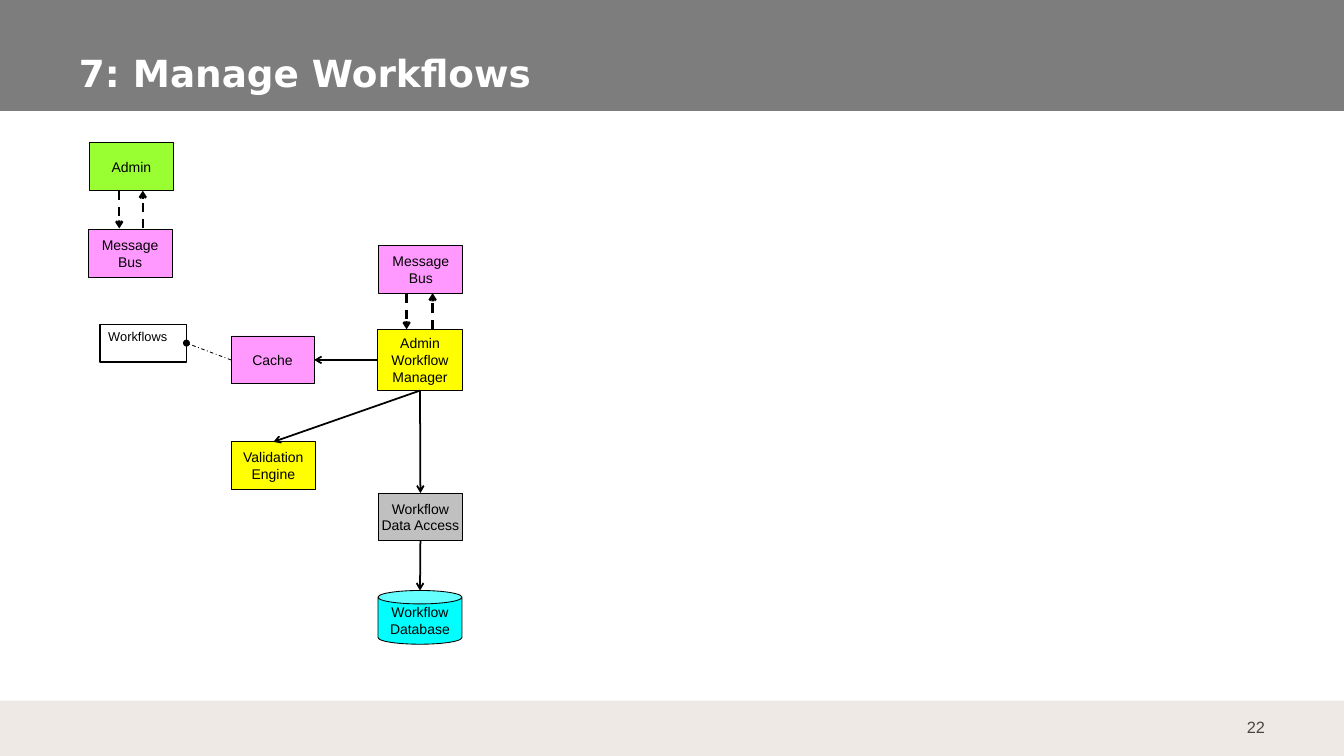
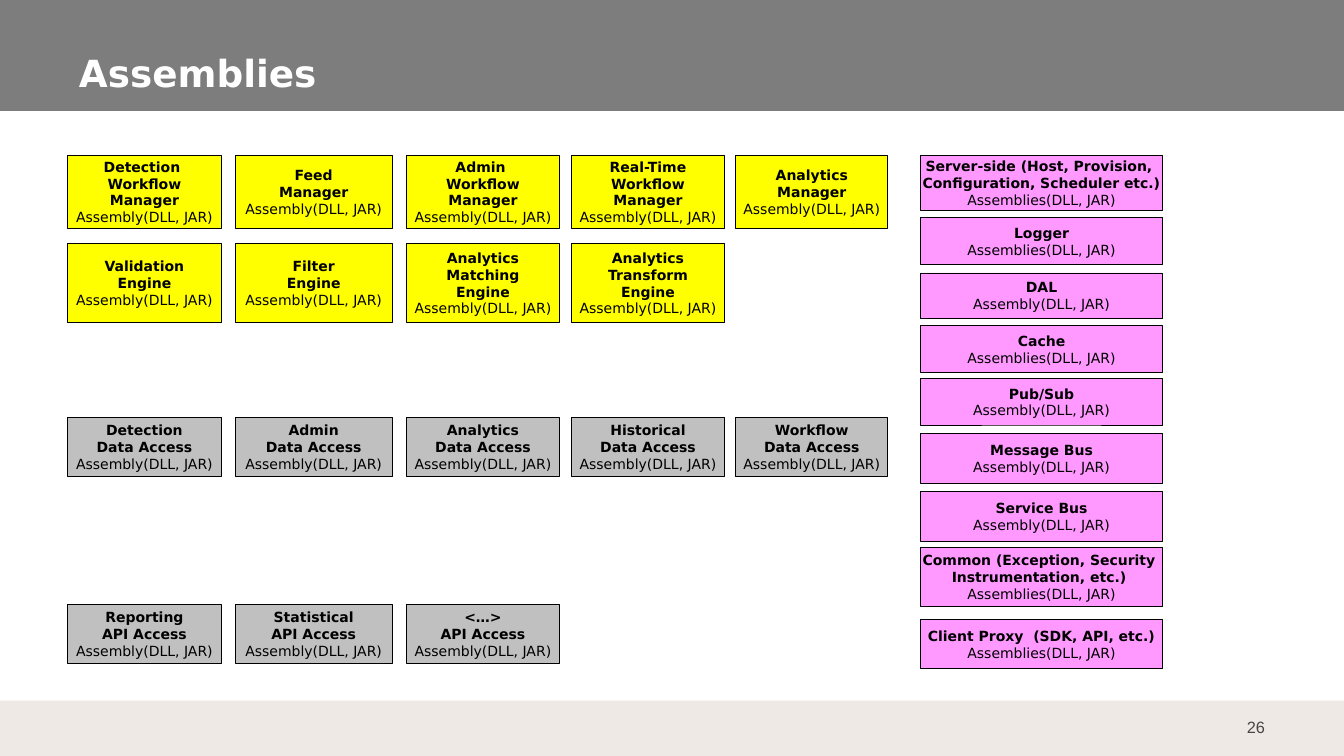
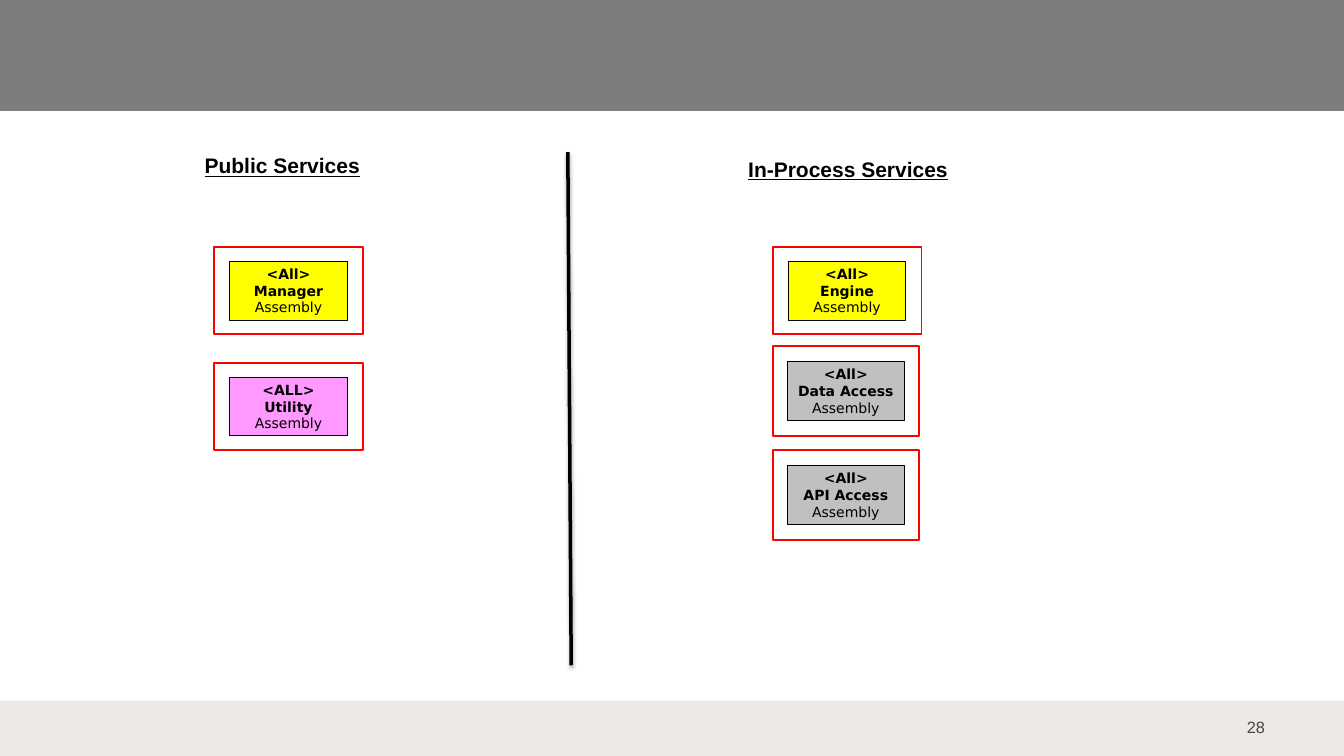
"""Build three architecture slides: a workflow diagram, an assembly grid and service groups."""
from lxml import etree
from pptx import Presentation
from pptx import util as u
from pptx.dml.color import RGBColor
from pptx.enum import dml, shapes, text
from pptx.oxml.ns import qn

THEME = {
    "band": "7D7D7D", "footer": "EFE9E5", "white": "FFFFFF", "black": "000000",
    "number": "464646", "client": "99FF33", "utility": "FF99FF", "logic": "FFFF00",
    "access": "C0C0C0", "store": "00FFFF", "frame": "FF0000",
    "title_font": "DejaVu Sans", "body_font": "Arial",
    "title_size": 32, "heading_size": 18, "number_size": 14, "box_size": 12, "note_size": 11,
}
BODY = {"name": THEME["body_font"], "size": u.Pt(THEME["box_size"]), "bold": False}
NOTE = {**BODY, "size": u.Pt(THEME["note_size"])}
NUMBER = {**BODY, "size": u.Pt(THEME["number_size"])}
HEADING = {**BODY, "size": u.Pt(THEME["heading_size"]), "bold": True, "underline": True}
TITLE = {"name": THEME["title_font"], "size": u.Pt(THEME["title_size"]), "bold": True}
NAME = {**TITLE, "size": u.Pt(THEME["box_size"])}
PLAIN = {**NAME, "bold": False}

RECT = shapes.MSO_SHAPE.RECTANGLE
MIDDLE, TOP, BOTTOM = text.MSO_ANCHOR.MIDDLE, text.MSO_ANCHOR.TOP, text.MSO_ANCHOR.BOTTOM
LEFT, CENTER, RIGHT = text.PP_ALIGN.LEFT, text.PP_ALIGN.CENTER, text.PP_ALIGN.RIGHT


def box(s, at, lines=(), fill=None, line="black", width=0.75, kind=RECT, font=BODY, last=None,
        color="black", align=CENTER, anchor=MIDDLE, wrap=False, inset=(0.1, 0.05)):
    """Add a shape, or a text box when kind is None, with one paragraph per line."""
    place = [u.Inches(v) for v in at]
    if kind is None:
        sp = s.shapes.add_textbox(*place)
    else:
        sp = s.shapes.add_shape(kind, *place)
        sp.shadow.inherit = False
        if fill:
            sp.fill.solid()
            sp.fill.fore_color.rgb = RGBColor.from_string(THEME[fill])
        else:
            sp.fill.background()
        if line:
            sp.line.color.rgb = RGBColor.from_string(THEME[line])
            sp.line.width = u.Pt(width)
        else:
            sp.line.fill.background()
    tf = sp.text_frame
    dx, dy = (u.Inches(v) for v in inset)
    frame = {"word_wrap": wrap, "vertical_anchor": anchor, "margin_left": dx,
             "margin_right": dx, "margin_top": dy, "margin_bottom": dy}
    for key, value in frame.items():
        setattr(tf, key, value)
    for i, words in enumerate(lines):
        p = tf.add_paragraph() if i else tf.paragraphs[0]
        p.alignment = align
        r = p.add_run()
        r.text = words
        r.font.color.rgb = RGBColor.from_string(THEME[color])
        for key, value in (last if last and i == len(lines) - 1 else font).items():
            setattr(r.font, key, value)
    return sp


def link(s, start, end, width=1.5, dash=None, tail="arrow"):
    """Draw a line whose ends are points or (shape, side) pairs."""
    points = [(0, 0) if hasattr(e[0], "shape_id") else e for e in (start, end)]
    c = s.shapes.add_connector(shapes.MSO_CONNECTOR.STRAIGHT,
                               *[u.Inches(v) for point in points for v in point])
    for e, join in ((start, c.begin_connect), (end, c.end_connect)):
        if hasattr(e[0], "shape_id"):
            join(*e)
    c.line.color.rgb = RGBColor.from_string(THEME["black"])
    c.line.width = u.Pt(width)
    if dash:
        c.line.dash_style = dash
    if tail:
        etree.SubElement(c.line._get_or_add_ln(), qn("a:tailEnd"), type=tail)
    return etree.SubElement(c._element.spPr, qn("a:effectLst"))


prs = Presentation()
prs.slide_width, prs.slide_height = u.Inches(16), u.Inches(9)
slides = []
for title, number in (("7: Manage Workflows", "22"), ("Assemblies", "26"), (None, "28")):
    s = prs.slides.add_slide(prs.slide_layouts[6])
    box(s, (0, 0, 16, 1.32), fill="band", line=None)
    box(s, (0, 8.34, 16, 0.66), fill="footer", line=None)
    box(s, (14.4, 8.42, 0.8, 0.48), [number], kind=None, font=NUMBER, color="number",
        align=RIGHT, wrap=True, inset=(0.14, 0.07))
    if title:
        box(s, (0.8, 0.46, 14.21, 0.74), [title], kind=None, font=TITLE, color="white",
            align=LEFT, anchor=BOTTOM, wrap=True, inset=(0.14, 0.07))
    slides.append(s)
workflow, assemblies, services = slides

box(workflow, (1.07, 1.7, 0.99, 0.57), ["Admin"], "client")
for at in ((1.05, 2.73, 1, 0.57), (4.51, 2.92, 1, 0.57)):
    box(workflow, at, ["Message", "Bus"], "utility")
manager = box(workflow, (4.49, 3.92, 1.02, 0.73), ["Admin", "Workflow", "Manager"], "logic")
cache = box(workflow, (2.75, 4, 0.99, 0.57), ["Cache"], "utility")
note = box(workflow, (1.19, 3.86, 1.03, 0.45), ["Workflows"], "white", width=1, font=NOTE,
           align=LEFT, anchor=TOP, wrap=True)
engine = box(workflow, (2.75, 5.26, 1.01, 0.57), ["Validation", "Engine"], "logic")
access = box(workflow, (4.5, 5.87, 1.01, 0.57), ["Workflow", "Data Access"], "access")
box(workflow, (4.5, 7.03, 1, 0.64), ["Workflow", "Database"], "store", kind=shapes.MSO_SHAPE.CAN)

link(workflow, (manager, 1), (cache, 3))
link(workflow, (cache, 1), (note, 3), 0.75, dml.MSO_LINE.DASH_DOT, "oval")
link(workflow, (manager, 2), (engine, 0))
link(workflow, (manager, 2), (access, 0))
link(workflow, (access, 2), (5, 7.03))
for down, up, top, bottom in ((1.42, 1.7, 2.27, 2.72), (4.84, 5.15, 3.49, 3.92)):
    link(workflow, (down, top), (down, bottom), 2, dml.MSO_LINE.DASH)
    link(workflow, (up, bottom), (up, top), 2, dml.MSO_LINE.DASH)

COLUMNS = ((0.8, 1.84), (2.8, 1.87), (4.84, 1.82), (6.8, 1.83), (8.76, 1.81))
ROWS = (
    (1.85, 0.87, "logic", "Manager",
     (("Detection ", "Workflow"), ("Feed",), ("Admin ", "Workflow"), ("Real-Time", "Workflow"),
      ("Analytics",))),
    (2.9, 0.94, "logic", "Engine",
     (("Validation",), ("Filter",), ("Analytics", "Matching"), ("Analytics", "Transform"))),
    (4.97, 0.7, "access", "Data Access",
     (("Detection",), ("Admin",), ("Analytics",), ("Historical",), ("Workflow",))),
    (7.2, 0.7, "access", "API Access", (("Reporting",), ("Statistical",), ("<…>",))),
)
for top, height, fill, role, names in ROWS:
    for (left, width), name in zip(COLUMNS, names):
        box(assemblies, (left, top, width, height), [*name, role, "Assembly(DLL, JAR)"], fill,
            font=NAME, last=PLAIN)

ONE, MANY = "Assembly(DLL, JAR)", "Assemblies(DLL, JAR)"
UTILITIES = (
    (1.85, 0.66, ("Server-side (Host, Provision, ", "Configuration, Scheduler etc.)", MANY)),
    (2.59, 0.56, ("Logger", MANY)),
    (3.25, 0.54, ("DAL", ONE)),
    (3.88, 0.56, ("Cache", MANY)),
    (4.51, 0.55, ("Pub/Sub", ONE)),
    (5.16, 0.59, ("Message Bus", ONE)),
    (5.85, 0.59, ("Service Bus", ONE)),
    (6.52, 0.7, ("Common (Exception, Security ", "Instrumentation, etc.) ", MANY)),
    (7.38, 0.58, ("Client Proxy  (SDK, API, etc.)", MANY)),
)
for top, height, lines in UTILITIES:
    box(assemblies, (10.96, top, 2.88, height), lines, "utility", font=NAME, last=PLAIN)

for at, heading in (((2.22, 1.77, 2.28, 0.4), "Public Services"),
                    ((8.74, 1.81, 2.71, 0.4), "In-Process Services")):
    box(services, at, [heading], kind=None, font=HEADING, anchor=TOP, wrap=True)

CARD_W, CARD_H = 1.4, 0.7
GROUPS = (
    (2.55, 2.94, 1.77, 1.04, "logic", ("<All>", "Manager")),
    (2.55, 4.32, 1.77, 1.04, "utility", ("<ALL>", "Utility")),
    (9.2, 2.94, 1.77, 1.04, "logic", ("<All>", "Engine")),
    (9.2, 4.12, 1.74, 1.07, "access", ("<All>", "Data Access")),
    (9.2, 5.36, 1.74, 1.07, "access", ("<All>", "API Access")),
)
for left, top, width, height, fill, name in GROUPS:
    box(services, (left, top, width, height), line="frame", width=1.5)
    card = (left + (width - CARD_W) / 2, top + (height - CARD_H) / 2, CARD_W, CARD_H)
    box(services, card, [*name, "Assembly"], fill, font=NAME, last=PLAIN)

effects = link(services, (6.76, 1.81), (6.8, 7.92), 3, tail=None)
shadow = etree.SubElement(effects, qn("a:outerShdw"), blurRad=str(u.Pt(3.1)),
                          dist=str(u.Pt(1.8)), dir="5400000", rotWithShape="0")
shade = etree.SubElement(shadow, qn("a:srgbClr"), val=THEME["black"])
etree.SubElement(shade, qn("a:alpha"), val="35000")

prs.save("out.pptx")
